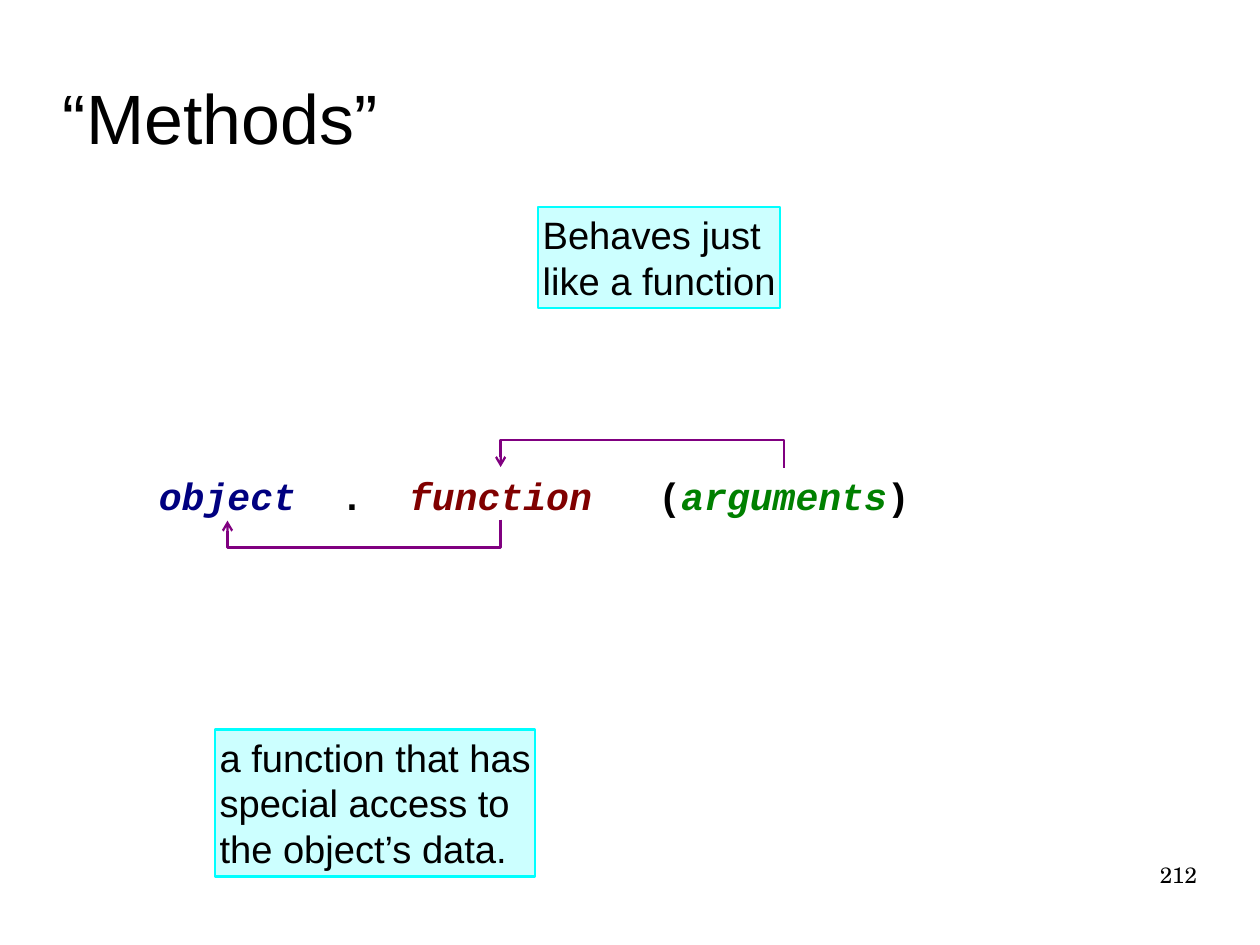
from dataclasses import dataclass

from lxml.etree import SubElement
from pptx import Presentation
from pptx.dml.color import RGBColor
from pptx.enum.shapes import MSO_CONNECTOR, MSO_SHAPE
from pptx.enum.text import MSO_ANCHOR, MSO_AUTO_SIZE, PP_ALIGN
from pptx.oxml.ns import qn
from pptx.slide import Slide
from pptx.text.text import Font, TextFrame
from pptx.util import Cm, Pt

BLACK = "000000"
TOKEN_TOP, TOKEN_HEIGHT = 10.39, 1.17
ARROW_DEPTH = 0.62
ARROW_OFFSET = 0.02


@dataclass(frozen=True)
class Piece:
    text: str
    color: str = BLACK
    italic: bool = False


@dataclass(frozen=True)
class Token:
    left: float
    width: float
    pieces: tuple[Piece, ...]

    @property
    def center(self) -> float:
        return self.left + self.width / 2


@dataclass(frozen=True)
class Note:
    left: float
    top: float
    width: float
    height: float
    lines: tuple[str, ...]


OBJECT = Token(3.43, 3.25, (Piece("object", "000080", True),))
DOT = Token(7.47, 0.71, (Piece("."),))
FUNCTION = Token(8.99, 4.27, (Piece("function", "800000", True),))
ARGUMENTS = Token(14.53, 5.79, (Piece("("), Piece("arguments", "008000", True), Piece(")")))

NOTES = (
    Note(4.78, 16.21, 7.11, 3.27,
         ("a function that has", "special access to", "the object’s data.")),
    Note(11.96, 4.6, 5.38, 2.25, ("Behaves just", "like a function")),
)


def rgb(color: str) -> RGBColor:
    return RGBColor.from_string(color)


def set_font(font: Font, name: str, size: float) -> None:
    font.name = name
    font.size = Pt(size)
    font.color.rgb = rgb(BLACK)


def set_frame(frame: TextFrame, inset: float, wrap: bool, anchor: MSO_ANCHOR) -> None:
    frame.margin_left = frame.margin_right = Cm(inset)
    frame.margin_top = frame.margin_bottom = Cm(inset)
    frame.auto_size = MSO_AUTO_SIZE.NONE
    frame.word_wrap = wrap
    frame.vertical_anchor = anchor


def add_title(slide: Slide, text: str) -> None:
    title = slide.shapes.title
    title.left, title.top, title.width, title.height = Cm(1.4), Cm(0.84), Cm(25.2), Cm(3.5)
    set_frame(title.text_frame, 0, True, MSO_ANCHOR.MIDDLE)
    heading = title.text_frame.paragraphs[0]
    heading.text = text
    heading.alignment = PP_ALIGN.LEFT
    set_font(heading.font, "Arial", 44)


def add_page_number(slide: Slide, number: str) -> None:
    box = slide.shapes.add_textbox(Cm(20.07), Cm(19.13), Cm(6.53), Cm(1.45))
    set_frame(box.text_frame, 0, True, MSO_ANCHOR.TOP)
    paragraph = box.text_frame.paragraphs[0]
    paragraph.text = number
    paragraph.alignment = PP_ALIGN.RIGHT
    set_font(paragraph.font, "TeX Gyre Schola", 14)


def add_token(slide: Slide, token: Token) -> None:
    box = slide.shapes.add_textbox(Cm(token.left), Cm(TOKEN_TOP), Cm(token.width), Cm(TOKEN_HEIGHT))
    set_frame(box.text_frame, 0.1, False, MSO_ANCHOR.TOP)
    paragraph = box.text_frame.paragraphs[0]
    set_font(paragraph.font, "Courier New", 24)
    paragraph.font.bold = True
    for piece in token.pieces:
        run = paragraph.add_run()
        run.text = piece.text
        run.font.color.rgb = rgb(piece.color)
        run.font.italic = piece.italic


def add_arrow(slide: Slide, source: Token, target: Token, above: bool) -> None:
    """Draw a U-shaped arrow leftwards, over or under the line of code.

    The elbow is turned on its side, so its height is the distance spanned.
    """
    span = source.center - target.center
    left = (source.center + target.center - ARROW_OFFSET) / 2
    edge = TOKEN_TOP if above else TOKEN_TOP + TOKEN_HEIGHT
    top = edge - span / 2
    arrow = slide.shapes.add_connector(
        MSO_CONNECTOR.ELBOW, Cm(left), Cm(top), Cm(left + ARROW_OFFSET), Cm(top + span))
    arrow.line.color.rgb = rgb("800080")
    arrow.line.width = Pt(1.42)

    properties = arrow.element.spPr
    turn = properties.find(qn("a:xfrm"))
    turn.set("rot", str((270 if above else 90) * 60000))
    if above:
        turn.set("flipV", "1")
    guides = properties.find(qn("a:prstGeom")).find(qn("a:avLst"))
    bend = round(ARROW_DEPTH / ARROW_OFFSET * 100000)
    SubElement(guides, qn("a:gd"), name="adj1", fmla=f"val {bend}")
    SubElement(properties.find(qn("a:ln")), qn("a:tailEnd"), type="arrow")
    SubElement(properties, qn("a:effectLst"))


def add_note(slide: Slide, note: Note) -> None:
    box = slide.shapes.add_shape(
        MSO_SHAPE.RECTANGLE, Cm(note.left), Cm(note.top), Cm(note.width), Cm(note.height))
    box.shadow.inherit = False
    box.fill.solid()
    box.fill.fore_color.rgb = rgb("CCFFFF")
    box.line.color.rgb = rgb("00FFFF")
    box.line.width = Pt(1.42)
    set_frame(box.text_frame, 0.1, False, MSO_ANCHOR.TOP)
    box.text_frame.text = "\n".join(note.lines)
    for paragraph in box.text_frame.paragraphs:
        paragraph.alignment = PP_ALIGN.LEFT
        set_font(paragraph.font, "Arial", 24)


def main() -> None:
    presentation = Presentation()
    presentation.slide_width, presentation.slide_height = Cm(28), Cm(21)
    slide = presentation.slides.add_slide(presentation.slide_layouts[5])
    add_title(slide, "“Methods”")
    add_page_number(slide, "212")
    for token in (OBJECT, DOT, FUNCTION, ARGUMENTS):
        add_token(slide, token)
    add_arrow(slide, FUNCTION, OBJECT, above=False)
    add_arrow(slide, ARGUMENTS, FUNCTION, above=True)
    for note in NOTES:
        add_note(slide, note)
    presentation.save("out.pptx")


if __name__ == "__main__":
    main()
